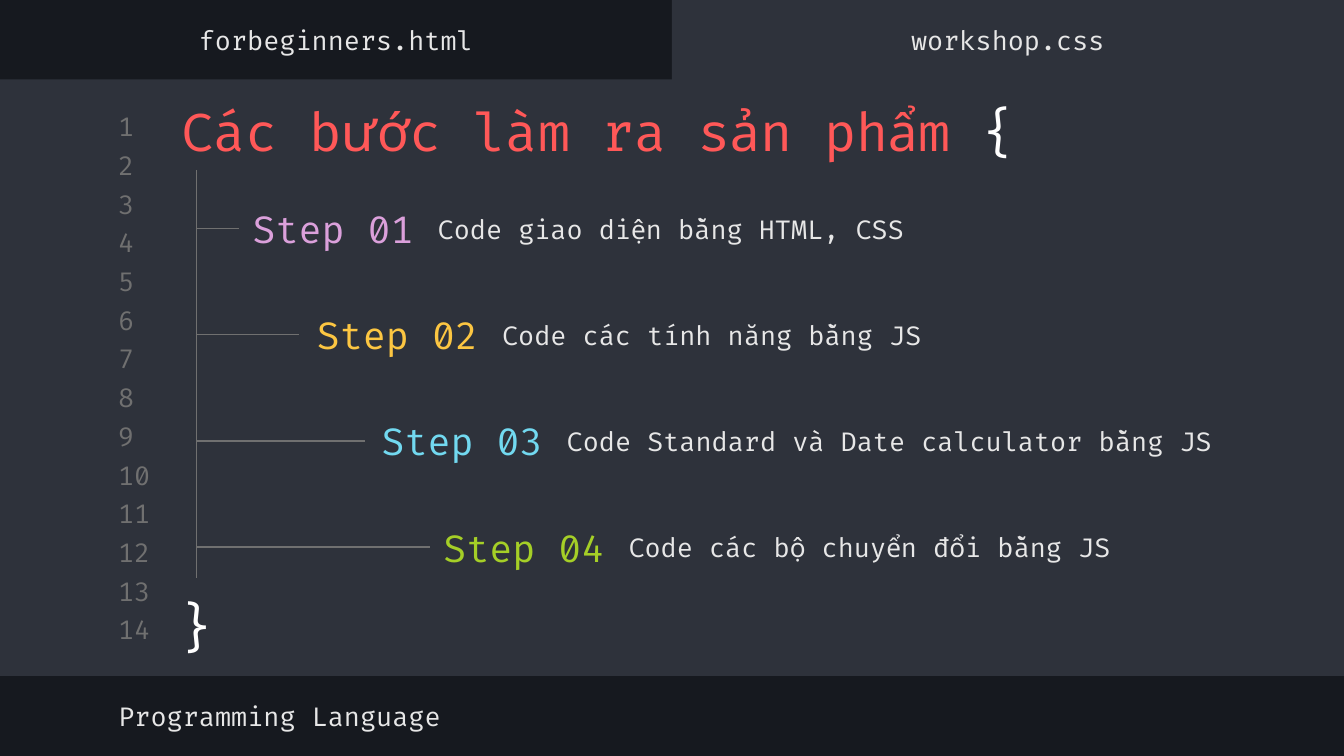
"""Build the workshop steps slide in a code editor style."""
import pptx
import pptx.dml.color
import pptx.enum.shapes
import pptx.enum.text
import pptx.util
import lxml.etree

Pt = pptx.util.Pt
RGB = pptx.dml.color.RGBColor.from_string
ALIGN = pptx.enum.text.PP_ALIGN
ANCHOR = pptx.enum.text.MSO_ANCHOR

theme = {
    "font": "Fira Code",
    "dark": "16191F", "panel": "2E323B", "muted": "707070",
    "text": "E7E7E7", "white": "FFFFFF", "red": "FF5858",
    "steps": ["DBA0DB", "FCC642", "72D9F0", "A5CF27"],
    "title": 28, "step": 20, "body": 14,
}

prs = pptx.Presentation()
prs.slide_width, prs.slide_height = Pt(720), Pt(405)
s = prs.slides.add_slide(prs.slide_layouts[0])
s.background.fill.solid()
s.background.fill.fore_color.rgb = RGB(theme["dark"])


def write(box, runs, size, sp=None, align=ALIGN.LEFT, anchor=ANCHOR.MIDDLE):
    sp = sp or s.shapes.add_textbox(0, 0, 0, 0)
    sp.left, sp.top, sp.width, sp.height = [Pt(v) for v in box]
    tf = sp.text_frame
    frame = {"word_wrap": True, "vertical_anchor": anchor,
             "auto_size": pptx.enum.text.MSO_AUTO_SIZE.NONE}
    for side in ("left", "top", "right", "bottom"):
        frame["margin_" + side] = Pt(7.2)
    for name, value in frame.items():
        setattr(tf, name, value)
    p = tf.paragraphs[0]
    p.alignment, p.space_before = align, Pt(0)
    for text, color in runs:
        r = p.add_run()
        r.text = text
        for name, value in {"name": theme["font"], "size": Pt(size), "bold": False}.items():
            setattr(r.font, name, value)
        r.font.color.rgb = RGB(color)


def rule(x1, y1, x2, y2):
    line = s.shapes.add_connector(pptx.enum.shapes.MSO_CONNECTOR.STRAIGHT,
                                  Pt(x1), Pt(y1), Pt(x2), Pt(y2))
    line.line.color.rgb = RGB(theme["muted"])
    line.line.width = Pt(0.75)
    effects = pptx.oxml.ns.qn("a:effectLst")
    lxml.etree.SubElement(line._element.spPr, effects)


for i, box in enumerate([(0, 42.5, 720, 319.7), (360, 0, 360, 46.8)]):
    panel = s.shapes.add_shape(pptx.enum.shapes.MSO_SHAPE.RECTANGLE, *[Pt(v) for v in box])
    panel.shadow.inherit = False
    panel.fill.solid()
    panel.fill.fore_color.rgb = RGB(theme["panel"])
    panel.line.fill.background()
    s.shapes._spTree.insert(2 + i, panel._element)

for i in range(14):
    write((56.2, 59 + 20.74 * i, 33.8, 17.3), [(str(i + 1), theme["muted"])], theme["body"])

write((90, 46.1, 573.8, 42.5),
      [("Các bước làm ra sản phẩm ", theme["red"]), ("{", theme["white"])],
      theme["title"], sp=s.shapes.title, anchor=ANCHOR.TOP)
write((85.7, 311, 39.6, 48.2), [("}", theme["white"])], theme["title"],
      align=ALIGN.CENTER, anchor=ANCHOR.TOP)

write((56.2, 369.4, 383, 28.1), [("Programming Language", theme["text"])],
      theme["body"], sp=s.placeholders[1])
for i, tab in enumerate(["forbeginners.html", "workshop.css"]):
    write((360 * i, 7.2, 360, 28.1), [(tab, theme["text"])], theme["body"], align=ALIGN.CENTER)

steps = [
    (128.2, 128.2, 313.2, "Code giao diện bằng HTML, CSS"),
    (162.7, 160.4, 313.2, "Code các tính năng bằng JS"),
    (197.3, 195.8, 423.4, "Code Standard và Date calculator bằng JS"),
    (230.4, 230.4, 313.2, "Code các bộ chuyển đổi bằng JS"),
]
trunk = 105.2
rule(trunk, 91, trunk, 309.6)
for i, (x, branch_end, width, text) in enumerate(steps):
    top = 99.4 + 56.9 * i
    write((x, top, 102.2, 46.1), [(f"Step {i + 1:02}", theme["steps"][i])], theme["step"])
    write((x + 99.2, top, width, 46.1), [(text, theme["text"])], theme["body"])
    rule(trunk, top + 23, branch_end, top + 23)

prs.save("out.pptx")
